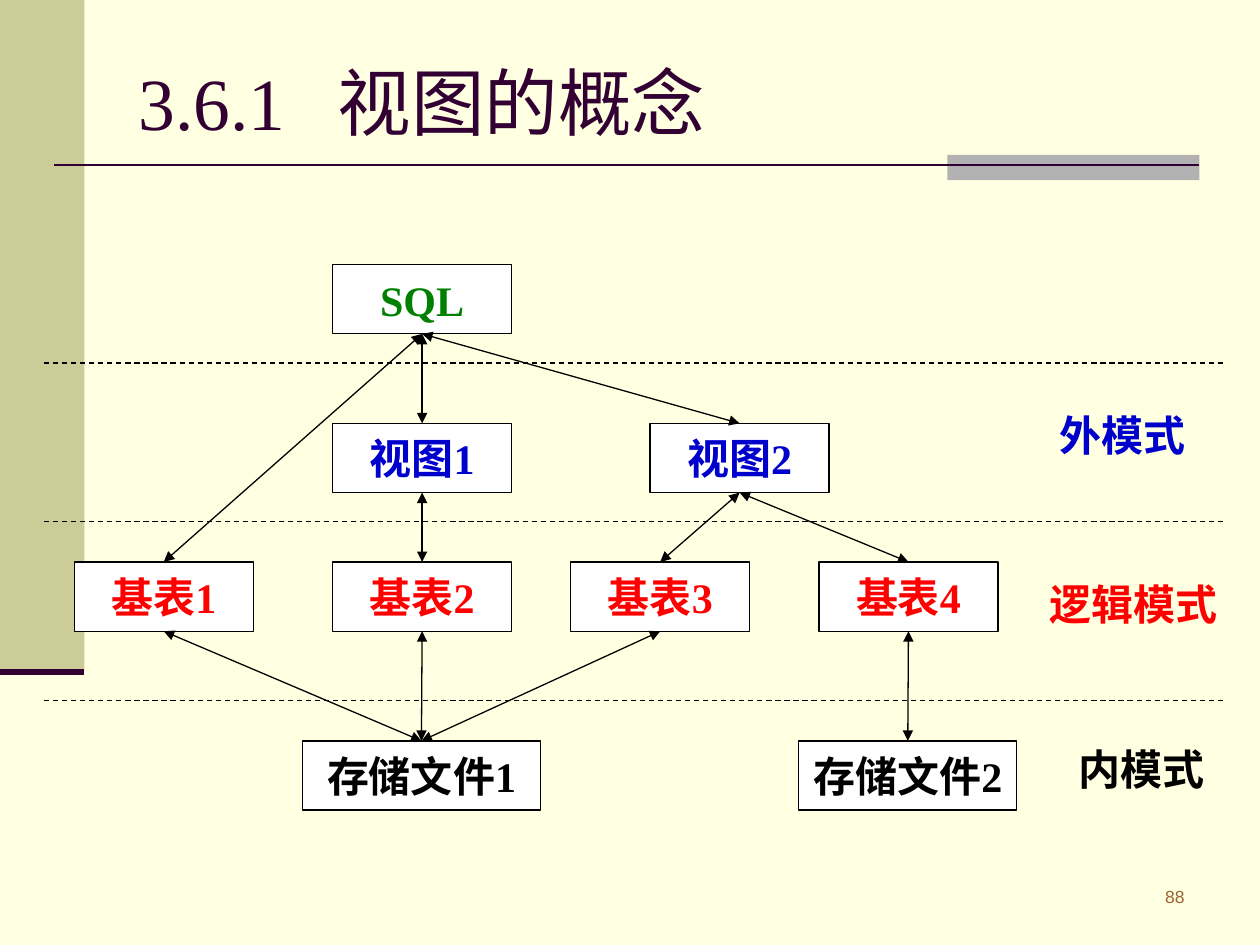
from lxml.etree import SubElement
from pptx import Presentation
from pptx.dml.color import RGBColor
from pptx.enum.dml import MSO_LINE
from pptx.enum.shapes import MSO_CONNECTOR, MSO_SHAPE
from pptx.enum.text import MSO_ANCHOR, PP_ALIGN
from pptx.oxml.ns import qn
from pptx.util import Inches, Pt

SERIF = "Times New Roman"
BLACK, BLUE, RED, GREEN = "000000", "0000CC", "FF0000", "008000"
PLUM = "330033"
TOP, BOTTOM = 0, 2


def rgb(value):
    return RGBColor.from_string(value)


class SlideBuilder:
    """Holds the style and the current slide, and adds each kind of element."""

    def __init__(self, prs, background):
        self.s = prs.slides.add_slide(prs.slide_layouts[5])
        self.s.background.fill.solid()
        self.s.background.fill.fore_color.rgb = rgb(background)

    def style(self, p, size, color, bold=False, font=SERIF, align=PP_ALIGN.LEFT):
        p.alignment = align
        p.font.size = Pt(size)
        p.font.bold = bold
        p.font.name = font
        p.font.color.rgb = rgb(color)

    def title(self, text, x, y, w, h, tab):
        sp = self.s.shapes.title
        sp.left, sp.top, sp.width, sp.height = (Inches(v) for v in (x, y, w, h))
        tf = sp.text_frame
        tf.text = text
        tf.vertical_anchor = MSO_ANCHOR.MIDDLE
        p = tf.paragraphs[0]
        tabs = SubElement(p._p.get_or_add_pPr(), qn("a:tabLst"))
        SubElement(tabs, qn("a:tab"), pos=str(Inches(tab)), algn="l")
        self.style(p, 42, PLUM)

    def rect(self, x, y, w, h, fill, line=None):
        sp = self.s.shapes.add_shape(
            MSO_SHAPE.RECTANGLE, Inches(x), Inches(y), Inches(w), Inches(h))
        sp.shadow.inherit = False
        sp.fill.solid()
        sp.fill.fore_color.rgb = rgb(fill)
        if line:
            sp.line.color.rgb = rgb(line)
            sp.line.width = Pt(0.75)
        else:
            sp.line.fill.background()
        return sp

    def box(self, text, x, y, w, color):
        sp = self.rect(x, y, w, 0.55, "FFFFFF", BLACK)
        tf = sp.text_frame
        tf.word_wrap = False
        tf.vertical_anchor = MSO_ANCHOR.MIDDLE
        tf.text = text
        self.style(tf.paragraphs[0], 24, color, True, align=PP_ALIGN.CENTER)
        return sp

    def text(self, text, x, y, w, h, size, color, **style):
        tf = self.s.shapes.add_textbox(
            Inches(x), Inches(y), Inches(w), Inches(h)).text_frame
        tf.word_wrap = True
        tf.text = text
        self.style(tf.paragraphs[0], size, color, **style)

    def line(self, x1, y1, x2, y2, color=BLACK, width=0.75, dash=None):
        cxn = self.s.shapes.add_connector(
            MSO_CONNECTOR.STRAIGHT, Inches(x1), Inches(y1), Inches(x2), Inches(y2))
        cxn.line.color.rgb = rgb(color)
        cxn.line.width = Pt(width)
        if dash:
            cxn.line.dash_style = dash
        SubElement(cxn._element.spPr, qn("a:effectLst"))
        return cxn

    def double_arrow(self, upper, lower):
        cxn = self.line(0, 0, 1, 1)
        cxn.begin_connect(upper, BOTTOM)
        cxn.end_connect(lower, TOP)
        ln = cxn.line._get_or_add_ln()
        for end in ("a:headEnd", "a:tailEnd"):
            SubElement(ln, qn(end), type="triangle")


def main():
    prs = Presentation()
    prs.slide_width, prs.slide_height = Inches(10), Inches(7.5)
    b = SlideBuilder(prs, "FFFFE1")

    b.rect(0, 0, 0.67, 5.33, "CCCC99")
    b.rect(7.52, 1.23, 2, 0.2, "B2B2B2")
    b.line(0.43, 1.31, 9.52, 1.31, PLUM, 1.5)
    b.line(0, 5.33, 0.67, 5.33, PLUM, 3.5)
    b.text("88", 8.23, 6.98, 1.27, 0.35, 10, "996633",
           font="Arial", align=PP_ALIGN.RIGHT)
    b.title("3.6.1\t视图的概念", 1, 0.3, 8.5, 1.01, tab=1.58)

    rows = [
        (2.1, GREEN, [("SQL", 2.64, 1.42)]),
        (3.36, BLUE, [("视图1", 2.64, 1.42), ("视图2", 5.16, 1.42)]),
        (4.46, RED, [("基表1", 0.59, 1.42), ("基表2", 2.64, 1.42),
                     ("基表3", 4.53, 1.42), ("基表4", 6.5, 1.42)]),
        (5.88, BLACK, [("存储文件1", 2.4, 1.89), ("存储文件2", 6.34, 1.73)]),
    ]
    boxes = {name: b.box(name, x, y, w, color)
             for y, color, row in rows for name, x, w in row}

    for y in (2.88, 4.14, 5.56):
        b.line(0.35, y, 9.73, y, dash=MSO_LINE.DASH)

    links = [
        ("SQL", "视图1"), ("SQL", "视图2"), ("SQL", "基表1"),
        ("视图1", "基表2"), ("视图2", "基表3"), ("视图2", "基表4"),
        ("基表4", "存储文件2"), ("基表2", "存储文件1"),
        ("基表1", "存储文件1"), ("基表3", "存储文件1"),
    ]
    for upper, lower in links:
        b.double_arrow(boxes[upper], boxes[lower])

    for text, x, y, w, color in [("外模式", 8.31, 3.2, 1.42, BLUE),
                                 ("逻辑模式", 8.23, 4.54, 1.57, RED),
                                 ("内模式", 8.46, 5.85, 1.42, BLACK)]:
        b.text(text, x, y, w, 0.5, 24, color, bold=True)

    prs.save("out.pptx")


if __name__ == "__main__":
    main()
